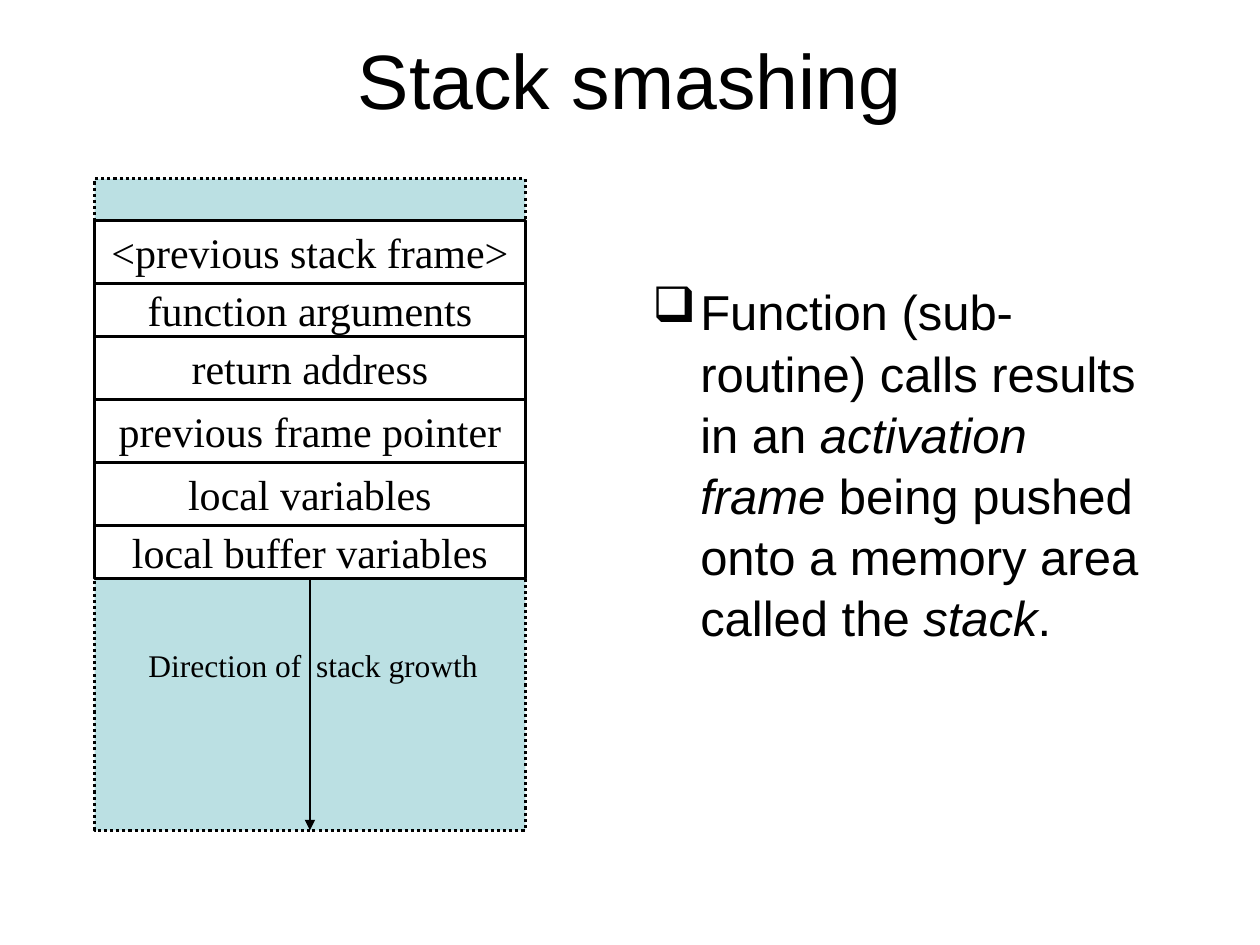
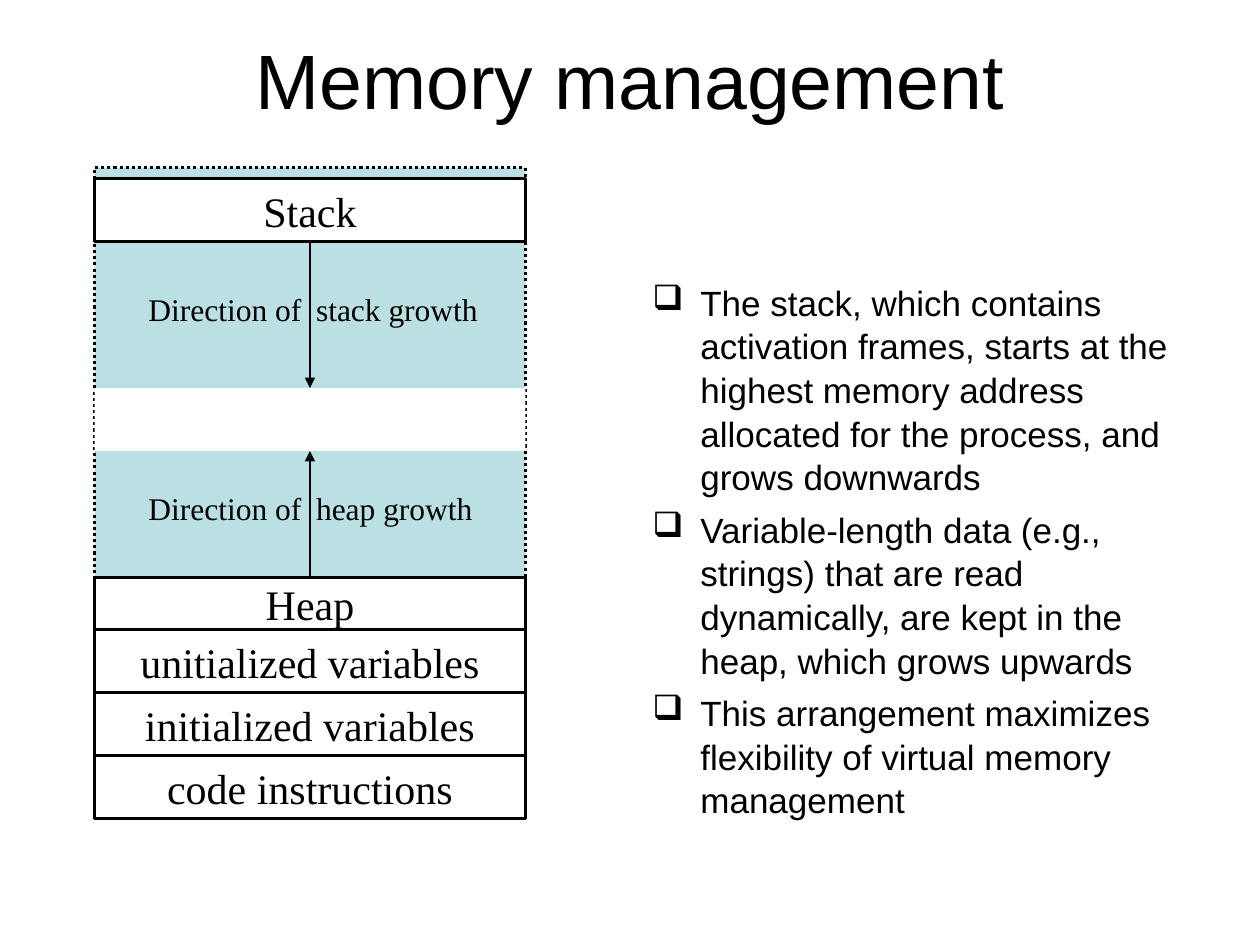
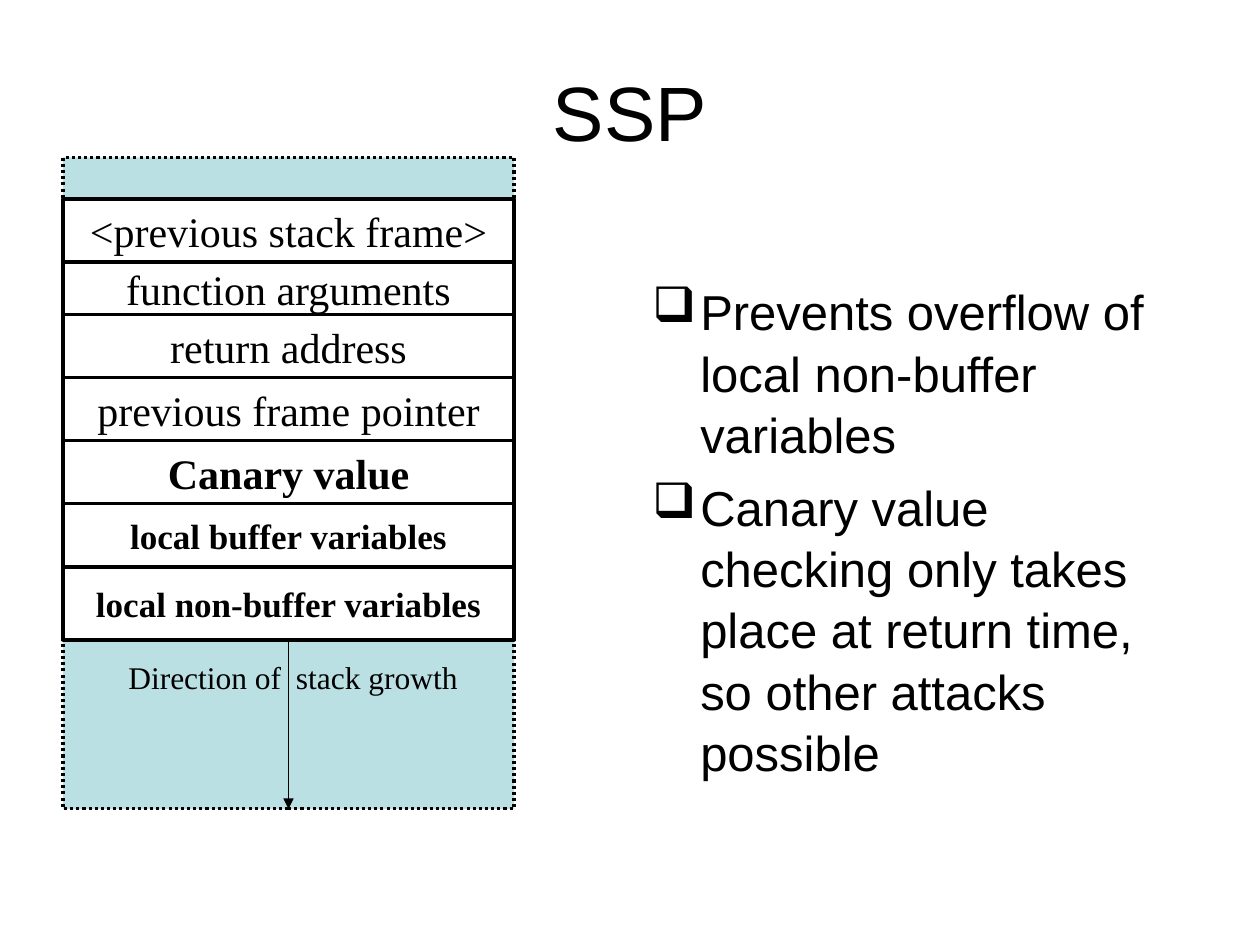
from lxml.etree import SubElement
from pptx import Presentation
from pptx.dml.color import RGBColor
from pptx.enum.dml import MSO_LINE
from pptx.enum.shapes import MSO_CONNECTOR, MSO_SHAPE
from pptx.enum.text import MSO_ANCHOR, PP_ALIGN
from pptx.oxml.ns import qn
from pptx.util import Inches, Pt

COLORS = {"ink": "000000", "paper": "FFFFFF", "free": "BBE0E3"}
SANS, SERIF = "Arial", "Times New Roman"
TOP, BOTTOM = 0, 2  # connection sites of a rectangle
ROW, LOW_ROW, HIGH_ROW = 0.5, 0.42, 0.58
FRAME_HEIGHT = 5.17
CELL_SIZE, STRONG_SIZE = 24, 20


def color(name):
    return RGBColor.from_string(COLORS[name])


def style(paragraph, size, face, bold=False):
    font = paragraph.font
    font.size, font.name, font.bold = Pt(size), face, bold
    font.color.rgb = color("ink")


def add_text(slide, left, top, width, height):
    frame = slide.shapes.add_textbox(
        Inches(left), Inches(top), Inches(width), Inches(height)).text_frame
    frame.word_wrap = True
    return frame


def add_title(slide, text, top=0):
    frame = add_text(slide, 0.75, top, 8.5, 1.25)
    frame.vertical_anchor = MSO_ANCHOR.MIDDLE
    heading = frame.paragraphs[0]
    heading.text = text
    heading.alignment = PP_ALIGN.CENTER
    style(heading, 44, SANS)


def add_points(slide, points, size=28, width=4.17):
    """Bulleted text; words between asterisks are italic."""
    frame = add_text(slide, 5.08, 2.17, width, 4.5)
    for number, point in enumerate(points):
        paragraph = frame.add_paragraph() if number else frame.paragraphs[0]
        style(paragraph, size, SANS)
        paragraph.space_before = Pt(size // 4)
        paragraph.line_spacing = 1.04
        for part, words in enumerate(point.split("*")):
            run = paragraph.add_run()
            run.text = words
            if part % 2:
                run.font.italic = True
        # Hanging bullet
        properties = paragraph._p.get_or_add_pPr()
        properties.set("marL", str(Inches(0.38)))
        properties.set("indent", str(-Inches(0.38)))
        bullet = SubElement(properties, qn("a:buChar"))
        bullet.set("char", "❑")
        properties.append(properties.find(qn("a:defRPr")))


def add_block(slide, left, top, width, height, fill="paper", outlined=True):
    block = slide.shapes.add_shape(
        MSO_SHAPE.RECTANGLE, Inches(left), Inches(top), Inches(width), Inches(height))
    block.shadow.inherit = False
    block.fill.solid()
    block.fill.fore_color.rgb = color(fill)
    if outlined:
        block.line.color.rgb = color("ink")
        block.line.width = Pt(1.75)
    else:
        block.line.fill.background()
    return block


def add_memory(slide, left, top, width):
    """Dotted frame standing for the whole memory area."""
    memory = add_block(slide, left, top, width, FRAME_HEIGHT, "free")
    memory.line.dash_style = MSO_LINE.ROUND_DOT
    return memory


def add_cells(slide, left, top, width, cells):
    """Adjoining cells from the top down; returns the last and the first."""
    blocks = []
    for label, height, size, bold in cells:
        block = add_block(slide, left, top, width, height)
        frame = block.text_frame
        frame.word_wrap = False
        frame.vertical_anchor = MSO_ANCHOR.MIDDLE
        paragraph = frame.paragraphs[0]
        paragraph.text = label
        paragraph.alignment = PP_ALIGN.CENTER
        style(paragraph, size, SERIF, bold)
        blocks.append(block)
        top += height
    return blocks


def plain(label, height=ROW):
    return label, height, CELL_SIZE, False


def add_growth(slide, start, start_site, end, end_site, label_left, label_top, region):
    """Arrow between two blocks with its label on both sides."""
    arrow = slide.shapes.add_connector(MSO_CONNECTOR.STRAIGHT, 0, 0, 0, 0)
    arrow.begin_connect(start, start_site)
    arrow.end_connect(end, end_site)
    arrow.line.color.rgb = color("ink")
    arrow.line.width = Pt(0.75)
    SubElement(arrow.line._get_or_add_ln(), qn("a:tailEnd")).set("type", "triangle")
    SubElement(arrow._element.spPr, qn("a:effectLst"))

    label = add_text(slide, label_left, label_top, 2.92, 0.4).paragraphs[0]
    label.text = f"Direction of\t{region} growth"
    style(label, 18, SERIF)
    # Tab stop just right of the arrow
    properties = label._p.get_or_add_pPr()
    stops = SubElement(properties, qn("a:tabLst"))
    stop = SubElement(stops, qn("a:tab"))
    stop.set("pos", str(Inches(1.33)))
    stop.set("algn", "l")
    properties.append(properties.find(qn("a:defRPr")))


FRAME_CELLS = [
    plain("<previous stack frame>"),
    plain("function arguments", LOW_ROW),
    plain("return address"),
    plain("previous frame pointer"),
]


def add_call_stack(slide, left, top, width, local_cells, label_left, label_top):
    memory = add_memory(slide, left, top, width)
    cells = add_cells(slide, left, top + 0.33, width, FRAME_CELLS + local_cells)
    add_growth(slide, cells[-1], BOTTOM, memory, BOTTOM,
               left + label_left, top + label_top, "stack")


def add_process_memory(slide, left, top, width):
    add_memory(slide, left, top, width)
    stack = add_cells(slide, left, top + 0.09, width, [plain("Stack")])[0]
    heap = add_cells(slide, left, top + 3.25, width, [
        plain("Heap", LOW_ROW),
        plain("unitialized variables"),
        plain("initialized variables"),
        plain("code instructions"),
    ])[0]
    gap = add_block(slide, left, top + 1.75, width, ROW, outlined=False)
    add_growth(slide, stack, BOTTOM, gap, TOP, left + 0.33, top + 0.92, "stack")
    add_growth(slide, heap, TOP, gap, BOTTOM, left + 0.33, top + 2.5, "heap")


def main():
    deck = Presentation()
    deck.slide_width, deck.slide_height = Inches(10), Inches(7.5)
    smashing, management, protector = (
        deck.slides.add_slide(deck.slide_layouts[6]) for _ in range(3))

    # Stack smashing
    add_title(smashing, "Stack smashing")
    add_points(smashing, [
        "Function (sub-routine) calls results in an *activation frame* being "
        "pushed onto a memory area called the *stack*."])
    add_call_stack(smashing, 0.75, 1.42, 3.42, [
        plain("local variables"),
        plain("local buffer variables", LOW_ROW),
    ], 0.33, 3.66)

    # Memory management
    add_title(management, "Memory management")
    add_points(management, [
        "The stack, which contains activation frames, starts at the highest "
        "memory address allocated for the process, and grows downwards",
        "Variable-length data (e.g., strings) that are read dynamically, are "
        "kept in the heap, which grows upwards",
        "This arrangement maximizes flexibility of virtual memory management",
    ], size=20, width=4.42)
    add_process_memory(management, 0.75, 1.33, 3.42)

    # SSP
    add_title(protector, "SSP", top=0.25)
    add_points(protector, [
        "Prevents overflow of local non-buffer variables",
        "Canary value checking only takes place at return time, so other "
        "attacks possible"])
    add_call_stack(protector, 0.5, 1.25, 3.58, [
        ("Canary value", ROW, CELL_SIZE, True),
        ("local buffer variables", ROW, STRONG_SIZE, True),
        ("local non-buffer variables", HIGH_ROW, STRONG_SIZE, True),
    ], 0.42, 3.92)

    deck.save("out.pptx")


if __name__ == "__main__":
    main()
